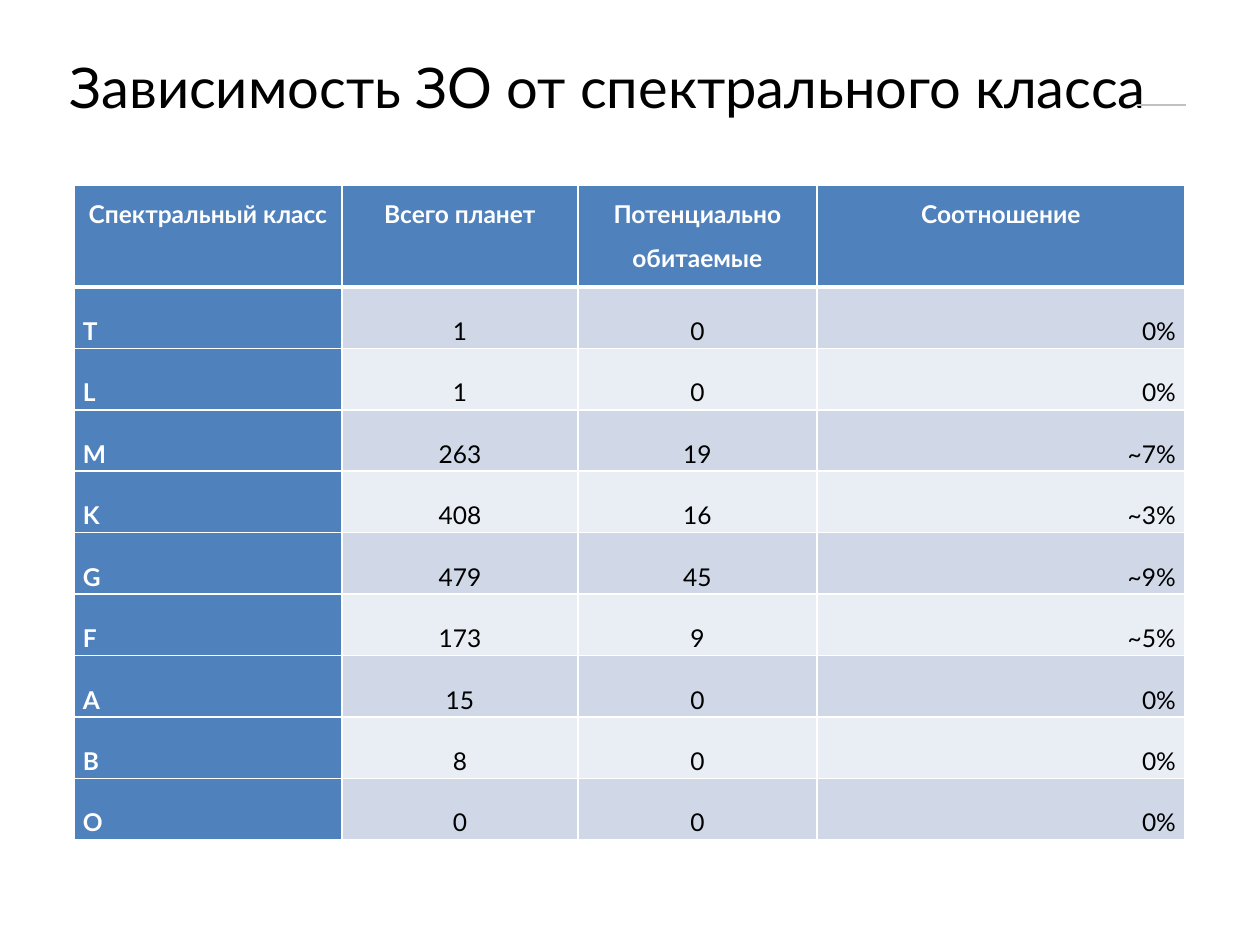
from lxml.etree import SubElement
from pptx import Presentation
from pptx.dml.color import RGBColor
from pptx.enum.shapes import MSO_CONNECTOR
from pptx.enum.text import MSO_ANCHOR, PP_ALIGN as Align
from pptx.oxml.ns import qn
from pptx.util import Emu, Pt

TITLE = "Зависимость ЗО от спектрального класса"
HEADERS = ["Спектральный класс", "Всего планет", "Потенциально обитаемые", "Соотношение"]
SPECTRAL_CLASSES = [
    ("T", "1", "0", "0%"),
    ("L", "1", "0", "0%"),
    ("M", "263", "19", "~7%"),
    ("K", "408", "16", "~3%"),
    ("G", "479", "45", "~9%"),
    ("F", "173", "9", "~5%"),
    ("A", "15", "0", "0%"),
    ("B", "8", "0", "0%"),
    ("O", "0", "0", "0%"),
]
COLUMN_WIDTHS = [268, 236, 239, 368]
COLUMN_ALIGNS = [Align.LEFT, Align.CENTER, Align.CENTER, Align.RIGHT]
TABLE_LEFT, TABLE_TOP, TABLE_HEIGHT, HEADER_HEIGHT = 74, 185, 655, 102
FONT = "Lato"
BLUE, BANDS = "4F81BD", ("D0D8E8", "E9EDF4")
WHITE, BLACK, GREY = "FFFFFF", "000000", "C4C0C1"


def px(value):
    return Emu(round(value * 914400 / 126))


def rgb(color):
    return RGBColor.from_string(color)


def add_run(paragraph, text, size, color, bold=False):
    run = paragraph.add_run()
    run.text = text
    run.font.name, run.font.size, run.font.bold = FONT, Pt(size), bold
    run.font.color.rgb = rgb(color)


def set_borders(cell, bottom_width):
    """Put white lines round a cell; they must precede its fill in the XML."""
    properties = cell._tc.get_or_add_tcPr()
    for side, width in (("L", 1), ("R", 1), ("T", 1), ("B", bottom_width)):
        line = SubElement(properties, qn(f"a:ln{side}"), w=str(Pt(width)))
        fill = SubElement(line, qn("a:solidFill"))
        SubElement(fill, qn("a:srgbClr"), val=WHITE)


def fill_cell(cell, text, row, column):
    is_header = row == 0
    is_label = is_header or column == 0
    cell.margin_left = cell.margin_right = px(9)
    cell.margin_top = cell.margin_bottom = 0
    cell.vertical_anchor = MSO_ANCHOR.TOP
    set_borders(cell, 3 if is_header else 1)
    cell.fill.solid()
    cell.fill.fore_color.rgb = rgb(BLUE if is_label else BANDS[(row - 1) % 2])
    paragraph = cell.text_frame.paragraphs[0]
    paragraph.alignment = Align.CENTER if is_header else COLUMN_ALIGNS[column]
    paragraph.line_spacing = 1.5 if is_header else 2.0
    paragraph.space_before = paragraph.space_after = Pt(12 if is_header else 0)
    add_run(paragraph, text, 14, WHITE if is_label else BLACK, is_label)


def add_title(slide):
    title = slide.shapes.title
    title.left, title.top, title.width, title.height = map(px, (57, 8, 1134, 157))
    title.text_frame.vertical_anchor = MSO_ANCHOR.MIDDLE
    paragraph = title.text_frame.paragraphs[0]
    paragraph.alignment = Align.LEFT
    add_run(paragraph, TITLE, 32, BLACK)


def add_rule(slide):
    rule = slide.shapes.add_connector(MSO_CONNECTOR.STRAIGHT, *map(px, (1137, 105, 1186, 105)))
    rule.line.color.rgb = rgb(GREY)
    rule.line.width = Pt(1)
    SubElement(rule._element.spPr, qn("a:effectLst"))


def add_class_table(slide):
    rows = [HEADERS, *SPECTRAL_CLASSES]
    frame = slide.shapes.add_table(
        len(rows), len(HEADERS),
        *map(px, (TABLE_LEFT, TABLE_TOP, sum(COLUMN_WIDTHS), TABLE_HEIGHT)))
    table = frame.table
    for column, width in zip(table.columns, COLUMN_WIDTHS):
        column.width = px(width)
    body_height = (TABLE_HEIGHT - HEADER_HEIGHT) / len(SPECTRAL_CLASSES)
    for r, texts in enumerate(rows):
        table.rows[r].height = px(body_height if r else HEADER_HEIGHT)
        for c, text in enumerate(texts):
            fill_cell(table.cell(r, c), text, r, c)


def main():
    presentation = Presentation()
    presentation.slide_width, presentation.slide_height = px(1260), px(945)
    slide = presentation.slides.add_slide(presentation.slide_layouts[5])
    add_title(slide)
    add_rule(slide)
    add_class_table(slide)
    presentation.save("out.pptx")


if __name__ == "__main__":
    main()
